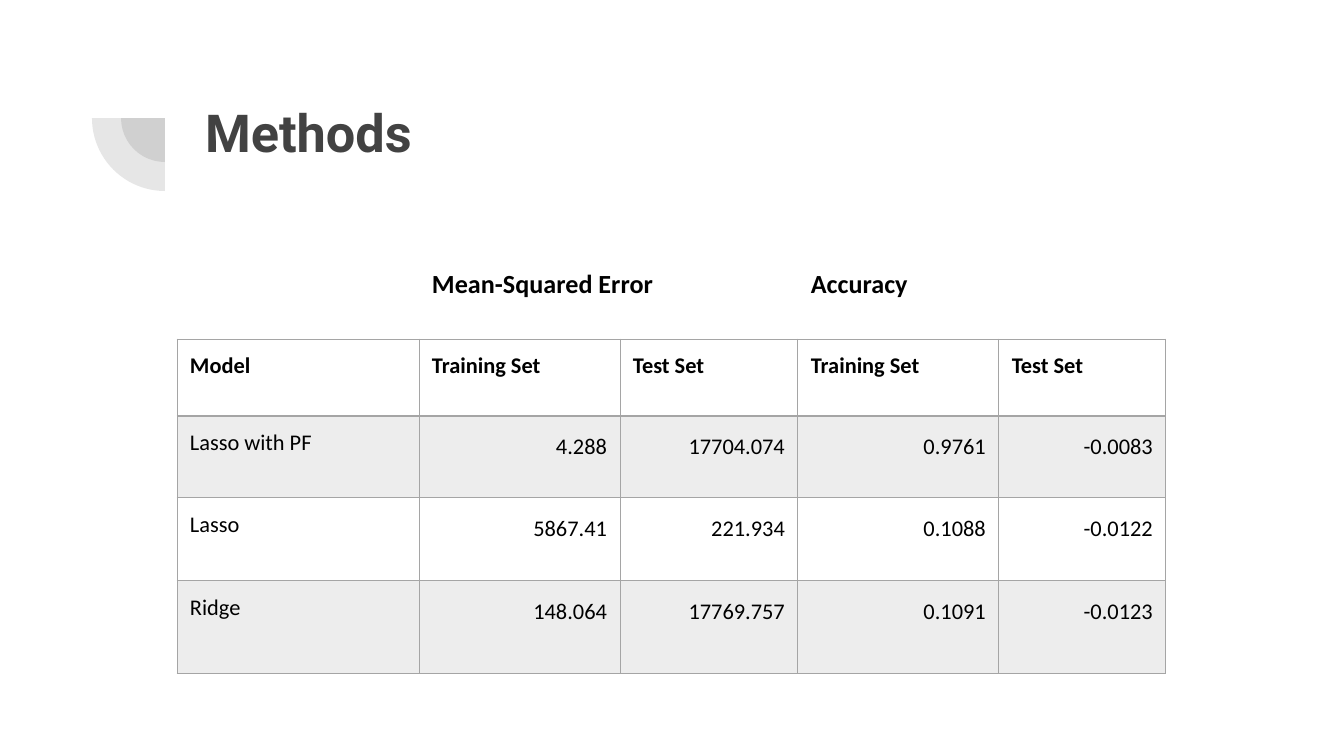
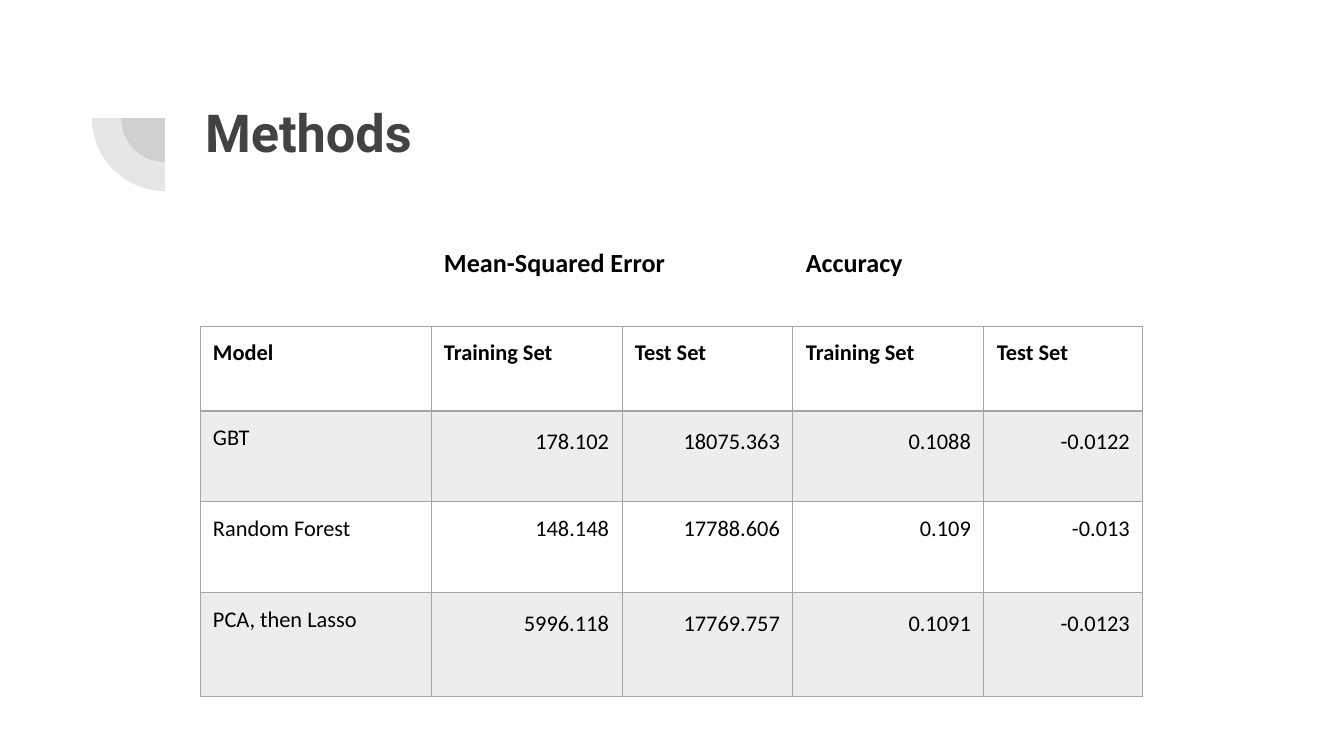
from lxml import etree
from pptx import Presentation
from pptx.dml.color import RGBColor
from pptx.enum import shapes, text
from pptx.oxml import ns
from pptx.util import Pt

TITLE = "Methods"
GROUPS = ["", "Mean-Squared Error", "", "Accuracy", ""]
HEADER = ["Model", "Training Set", "Test Set", "Training Set", "Test Set"]
PAGES = [
    {
        "left": 177, "top": 256,
        "columns": [242, 201, 178, 201, 167],
        "heights": [83, 77, 82, 83, 93],
        "results": [
            ["Lasso with PF", "4.288", "17704.074", "0.9761", "-0.0083"],
            ["Lasso", "5867.41", "221.934", "0.1088", "-0.0122"],
            ["Ridge", "148.064", "17769.757", "0.1091", "-0.0123"],
        ],
        "spacing": [1.15, 1.15, 1.15],
    },
    {
        "left": 200, "top": 235,
        "columns": [231, 191, 171, 191, 159],
        "heights": [91, 85, 91, 91, 104],
        "results": [
            ["GBT", "178.102", "18075.363", "0.1088", "-0.0122"],
            ["Random Forest", "148.148", "17788.606", "0.109", "-0.013"],
            ["PCA, then Lasso", "5996.118", "17769.757", "0.1091", "-0.0123"],
        ],
        "spacing": [1.15, 1, 1.15],
    },
]

DARK = RGBColor(0x42, 0x42, 0x42)
BLACK = RGBColor(0, 0, 0)
GRID = RGBColor(0xA5, 0xA5, 0xA5)
BAND = RGBColor(0xED, 0xED, 0xED)

SLIDE_SIZE = (1344, 756)
TITLE_BOX = (192, 87, 1034, 146)
PIE_CENTRE = (165, 118)
PIE_RADII = (44, 73)
INSET = 13
TITLE_ONLY = 5


def px(length):
    return round(length * 914400 / 134.4)


def write(frame, words, size, font="Calibri", color=BLACK, bold=False,
          align=text.PP_ALIGN.LEFT, spacing=1):
    para = frame.paragraphs[0]
    para.alignment = align
    para.line_spacing = spacing
    span = para.add_run()
    span.text = words
    span.font.name = font
    span.font.size = Pt(size)
    span.font.bold = bold
    span.font.color.rgb = color


def set_insets(box):
    box.margin_left = box.margin_right = px(INSET)
    box.margin_top = box.margin_bottom = px(INSET)
    box.vertical_anchor = text.MSO_ANCHOR.TOP


def add_pies(page):
    """Two translucent quarter discs sharing one corner."""
    group = page.shapes.add_group_shape()
    x, y = PIE_CENTRE
    for radius in PIE_RADII:
        pie = group.shapes.add_shape(
            shapes.MSO_SHAPE.PIE, px(x - radius), px(y - radius),
            px(2 * radius), px(2 * radius))
        pie.adjustments[0] = 108
        pie.adjustments[1] = 162
        pie.rotation = 270
        pie.shadow.inherit = False
        pie.line.fill.background()
        pie.fill.solid()
        pie.fill.fore_color.rgb = DARK
        color = pie.element.find(".//" + ns.qn("a:srgbClr"))
        etree.SubElement(color, ns.qn("a:alpha"), val="13000")


def add_title(page):
    title = page.shapes.title
    title.left, title.top, title.width, title.height = map(px, TITLE_BOX)
    frame = title.text_frame
    frame.word_wrap = True
    frame.auto_size = text.MSO_AUTO_SIZE.NONE
    set_insets(frame)
    write(frame, TITLE, 28, font="Roboto", color=DARK, bold=True)


def set_borders(cell, widths):
    """Draw the sides in L, R, T, B order; a width of 0 hides the side."""
    properties = cell._tc.get_or_add_tcPr()
    for side, width in zip("LRTB", widths):
        line = etree.SubElement(properties, ns.qn("a:ln" + side), w=str(Pt(width)))
        if width:
            fill = etree.SubElement(line, ns.qn("a:solidFill"))
            etree.SubElement(fill, ns.qn("a:srgbClr"), val=str(GRID))
        else:
            etree.SubElement(line, ns.qn("a:noFill"))


def format_cell(cell, row):
    set_insets(cell)
    widths = {
        0: (0, 0, 0, 0.5),
        1: (0.5, 0.5, 0.5, 1),
        2: (0.5, 0.5, 1, 0.5),
    }
    set_borders(cell, widths.get(row, (0.5, 0.5, 0.5, 0.5)))
    if row in (2, 4):
        cell.fill.solid()
        cell.fill.fore_color.rgb = BAND
    else:
        cell.fill.background()


def add_results(page, content):
    rows = [GROUPS, HEADER] + content["results"]
    columns, heights = content["columns"], content["heights"]
    table = page.shapes.add_table(
        len(rows), len(columns), px(content["left"]), px(content["top"]),
        px(sum(columns)), px(sum(heights))).table
    table.first_row = table.horz_banding = False
    for column, width in zip(table.columns, columns):
        column.width = px(width)
    for row, height in zip(table.rows, heights):
        row.height = px(height)
    for r, values in enumerate(rows):
        for c, value in enumerate(values):
            cell = table.cell(r, c)
            format_cell(cell, r)
            if not value:
                continue
            if r > 1 and c > 0:
                write(cell.text_frame, value, 12, align=text.PP_ALIGN.RIGHT,
                      spacing=content["spacing"][r - 2])
            else:
                write(cell.text_frame, value, 12 if r else 14, bold=r < 2)
    for first in (1, 3):
        table.cell(0, first).merge(table.cell(0, first + 1))


def main():
    deck = Presentation()
    deck.slide_width, deck.slide_height = map(px, SLIDE_SIZE)
    for content in PAGES:
        page = deck.slides.add_slide(deck.slide_layouts[TITLE_ONLY])
        add_pies(page)
        add_title(page)
        add_results(page, content)
    deck.save("out.pptx")


if __name__ == "__main__":
    main()
